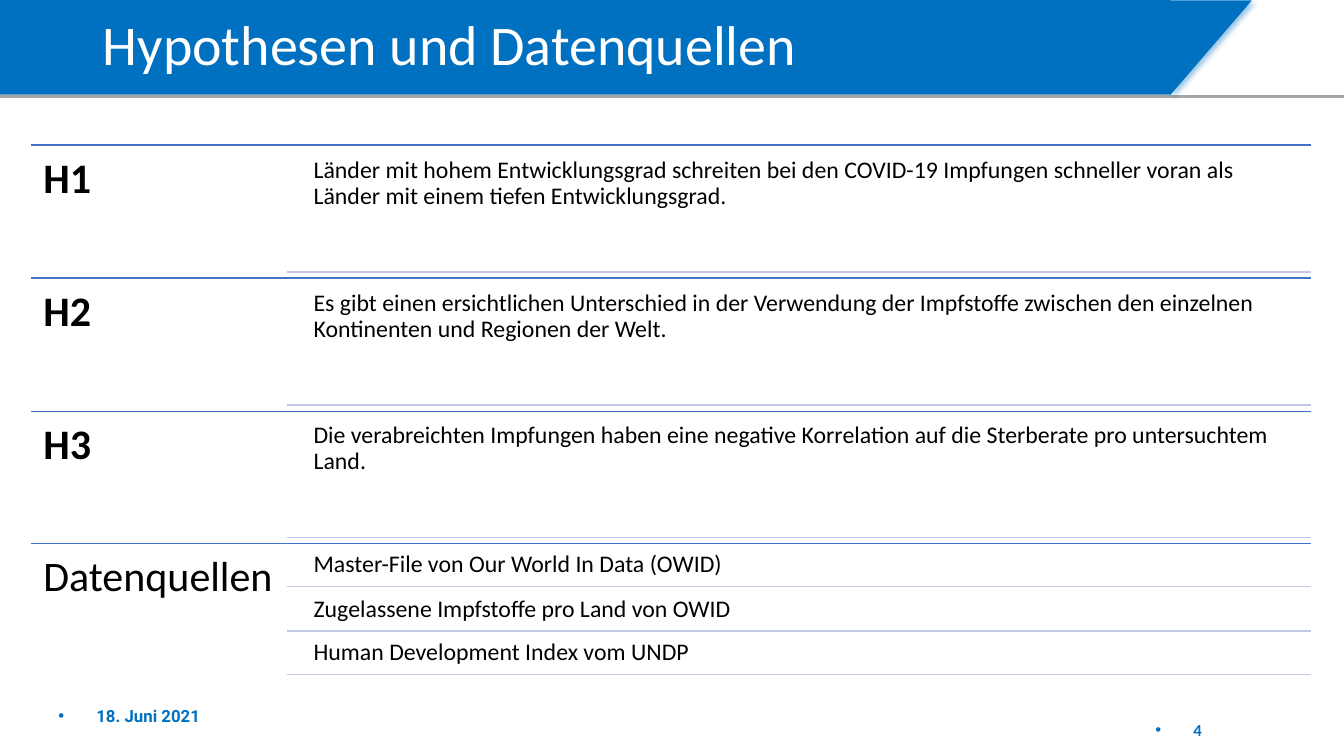
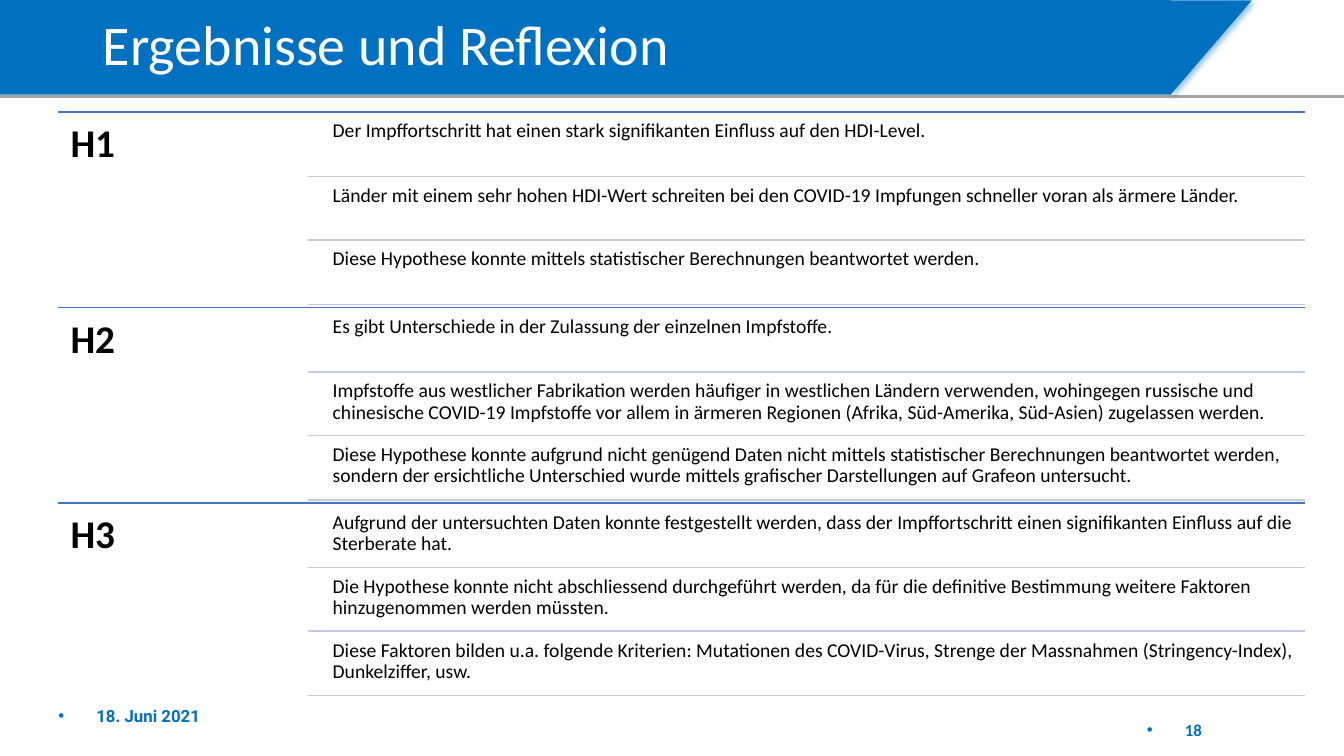
from dataclasses import dataclass

from lxml.etree import SubElement
from pptx import Presentation
from pptx.dml.color import RGBColor
from pptx.enum.shapes import MSO_CONNECTOR, MSO_SHAPE
from pptx.enum.text import MSO_ANCHOR, MSO_AUTO_SIZE, PP_ALIGN
from pptx.oxml.ns import qn
from pptx.util import Pt

PX = 9144
WIDTH, HEIGHT = 1333, 750
COLORS = {
    "band": "0070C0",
    "band_rule": "A5A5A5",
    "section_rule": "4472C4",
    "item_rule": "C1C9E4",
    "title": "FFFFFF",
    "text": "000000",
}
FONT, DATE_FONT = "Calibri", "Roboto"
DATE = "18. Juni 2021"
TITLE, NUMBER, DATE_LINE = 0, 1, 2
PLACES = {
    TITLE: (92, 0, 905, 94),
    NUMBER: (1118, 710, 84, 30),
    DATE_LINE: (58, 692, 349, 39),
}


@dataclass(frozen=True)
class Section:
    label: str
    items: tuple[str, ...]
    bold: bool = True


@dataclass(frozen=True)
class Outline:
    title: str
    number: int
    left: int
    top: int
    width: int
    height: int
    label_size: int
    item_size: int
    item_inset: int
    sections: tuple[Section, ...]


OUTLINES = (
    Outline("Hypothesen und Datenquellen", 4, 31, 144, 1269, 527, 30, 17, 7, (
        Section("H1", (
            "Länder mit hohem Entwicklungsgrad schreiten bei den COVID-19 Impfungen "
            "schneller voran als Länder mit einem tiefen Entwicklungsgrad.",
        )),
        Section("H2", (
            "Es gibt einen ersichtlichen Unterschied in der Verwendung der Impfstoffe "
            "zwischen den einzelnen Kontinenten und Regionen der Welt.",
        )),
        Section("H3", (
            "Die verabreichten Impfungen haben eine negative Korrelation auf die "
            "Sterberate pro untersuchtem Land.",
        )),
        Section("Datenquellen", (
            "Master-File von Our World In Data (OWID)",
            "Zugelassene Impfstoffe pro Land von OWID",
            "Human Development Index vom UNDP",
        ), False),
    )),
    Outline("Ergebnisse und Reflexion", 18, 58, 111, 1236, 582, 28, 14, 6, (
        Section("H1", (
            "Der Impffortschritt hat einen stark signifikanten Einfluss auf den HDI-Level.",
            "Länder mit einem sehr hohen HDI-Wert schreiten bei den COVID-19 Impfungen "
            "schneller voran als ärmere Länder.",
            "Diese Hypothese konnte mittels statistischer Berechnungen beantwortet werden.",
        )),
        Section("H2", (
            "Es gibt Unterschiede in der Zulassung der einzelnen Impfstoffe.",
            "Impfstoffe aus westlicher Fabrikation werden häufiger in westlichen Ländern "
            "verwenden, wohingegen russische und chinesische COVID-19 Impfstoffe vor allem "
            "in ärmeren Regionen (Afrika, Süd-Amerika, Süd-Asien) zugelassen werden.",
            "Diese Hypothese konnte aufgrund nicht genügend Daten nicht mittels "
            "statistischer Berechnungen beantwortet werden, sondern der ersichtliche "
            "Unterschied wurde mittels grafischer Darstellungen auf Grafeon untersucht.",
        )),
        Section("H3", (
            "Aufgrund der untersuchten Daten konnte festgestellt werden, dass der "
            "Impffortschritt einen signifikanten Einfluss auf die Sterberate hat.",
            "Die Hypothese konnte nicht abschliessend durchgeführt werden, da für die "
            "definitive Bestimmung weitere Faktoren hinzugenommen werden müssten.",
            "Diese Faktoren bilden u.a. folgende Kriterien: Mutationen des COVID-Virus, "
            "Strenge der Massnahmen (Stringency-Index), Dunkelziffer, usw.",
        )),
    )),
)


def px(value: float) -> int:
    """Turn px into EMU."""
    return round(value) * PX


def color(name: str) -> RGBColor:
    """Look up a named colour."""
    return RGBColor.from_string(COLORS[name])


def write(tf, text: str, size: int, ink: str = "text", bold: bool = False,
          font: str = FONT, align=PP_ALIGN.LEFT) -> None:
    """Fill a text frame with one formatted paragraph."""
    tf.text = text
    tf.word_wrap = True
    tf.auto_size = MSO_AUTO_SIZE.NONE
    p = tf.paragraphs[0]
    p.alignment = align
    p.line_spacing = 0.9
    p.space_before = Pt(0)
    r = p.runs[0]
    r.font.name, r.font.size, r.font.bold = font, Pt(size), bold
    r.font.color.rgb = color(ink)


def add_text(s, x: float, y: float, w: float, h: float, inset: int,
             text: str, size: int, bold: bool = False) -> None:
    """Add a text box with equal insets."""
    tf = s.shapes.add_textbox(px(x), px(y), px(w), px(h)).text_frame
    tf.margin_left = tf.margin_top = tf.margin_right = tf.margin_bottom = px(inset)
    write(tf, text, size, bold=bold)


def add_rule(s, x1: float, x2: float, y: float, ink: str, weight: float = 1):
    """Add a horizontal line without shadow."""
    line = s.shapes.add_connector(MSO_CONNECTOR.STRAIGHT, px(x1), px(y), px(x2), px(y))
    line.line.color.rgb = color(ink)
    line.line.width = Pt(weight)
    SubElement(line.element.spPr, qn("a:effectLst"))
    return line


def add_block(s, kind, x: int, y: int, w: int, h: int):
    """Add a plain block in the band colour."""
    sp = s.shapes.add_shape(kind, px(x), px(y), px(w), px(h))
    sp.fill.solid()
    sp.fill.fore_color.rgb = color("band")
    sp.line.fill.background()
    sp.shadow.inherit = False
    return sp


def add_shadow(sp) -> None:
    """Give a shape a soft shadow in the band colour."""
    effects = sp.element.spPr.find(qn("a:effectLst"))
    shadow = SubElement(effects, qn("a:outerShdw"), blurRad=str(Pt(4)), dist=str(Pt(3)),
                        dir="2700000", algn="tl", rotWithShape="0")
    ink = SubElement(shadow, qn("a:srgbClr"), val=COLORS["band"])
    SubElement(ink, qn("a:alpha"), val="40000")


def set_up_layout(layout, s) -> None:
    """Place the layout's placeholders and move the title band onto it."""
    for ph in layout.placeholders:
        idx = ph.placeholder_format.idx
        if idx in PLACES:
            ph.left, ph.top, ph.width, ph.height = map(px, PLACES[idx])
    rule = add_rule(s, WIDTH, 0, 96, "band_rule", 2.25)
    band = add_block(s, MSO_SHAPE.RECTANGLE, 0, 0, 1161, 94)
    corner = add_block(s, MSO_SHAPE.RIGHT_TRIANGLE, 1154, 7, 94, 81)
    corner.rotation = 90
    add_shadow(corner)
    for number, sp in enumerate((rule, band, corner), 101):
        sp.element.xpath(".//p:cNvPr")[0].set("id", str(number))
        layout.shapes.element.append(sp.element)


def fill_placeholders(s, outline: Outline) -> None:
    """Write title, slide number and date."""
    title, number, date = (s.placeholders[i].text_frame for i in (TITLE, NUMBER, DATE_LINE))
    for tf in (number, date):
        pPr = tf.paragraphs[0]._p.get_or_add_pPr()
        pPr.set("marL", "0")
        pPr.set("indent", "0")
        SubElement(pPr, qn("a:buNone"))
    for tf in (title, number, date):
        tf.vertical_anchor = MSO_ANCHOR.MIDDLE
    date.margin_left = 0
    write(title, outline.title, 40, "title")
    write(number, str(outline.number), 12, "band", True, align=PP_ALIGN.RIGHT)
    write(date, DATE, 12, "band", True, DATE_FONT)


def draw_sections(s, outline: Outline) -> None:
    """Draw labelled sections of equal height, each with equal item rows."""
    left, right = outline.left, outline.left + outline.width
    label_w = outline.width * 0.2
    split = left + label_w
    item_x = split + outline.width * 0.015
    section_h = outline.height / len(outline.sections)
    for i, section in enumerate(outline.sections):
        top = outline.top + i * section_h
        add_rule(s, left, right, top, "section_rule")
        add_text(s, left, top, label_w, section_h, 12,
                 section.label, outline.label_size, section.bold)
        n = len(section.items)
        item_h = section_h / (1.05 * n + 0.05)
        gap = item_h * 0.05
        for j, item in enumerate(section.items):
            y = top + gap + j * (item_h + gap)
            add_text(s, item_x, y, right - item_x, item_h, outline.item_inset,
                     item, outline.item_size)
            add_rule(s, split, right, y + item_h, "item_rule")


def main() -> None:
    """Build and save the presentation."""
    prs = Presentation()
    prs.slide_width, prs.slide_height = px(WIDTH), px(HEIGHT)
    layout = prs.slide_layouts[3]
    slides = [prs.slides.add_slide(layout) for _ in OUTLINES]
    set_up_layout(layout, slides[0])
    for s, outline in zip(slides, OUTLINES):
        fill_placeholders(s, outline)
        draw_sections(s, outline)
    prs.save("out.pptx")


if __name__ == "__main__":
    main()
